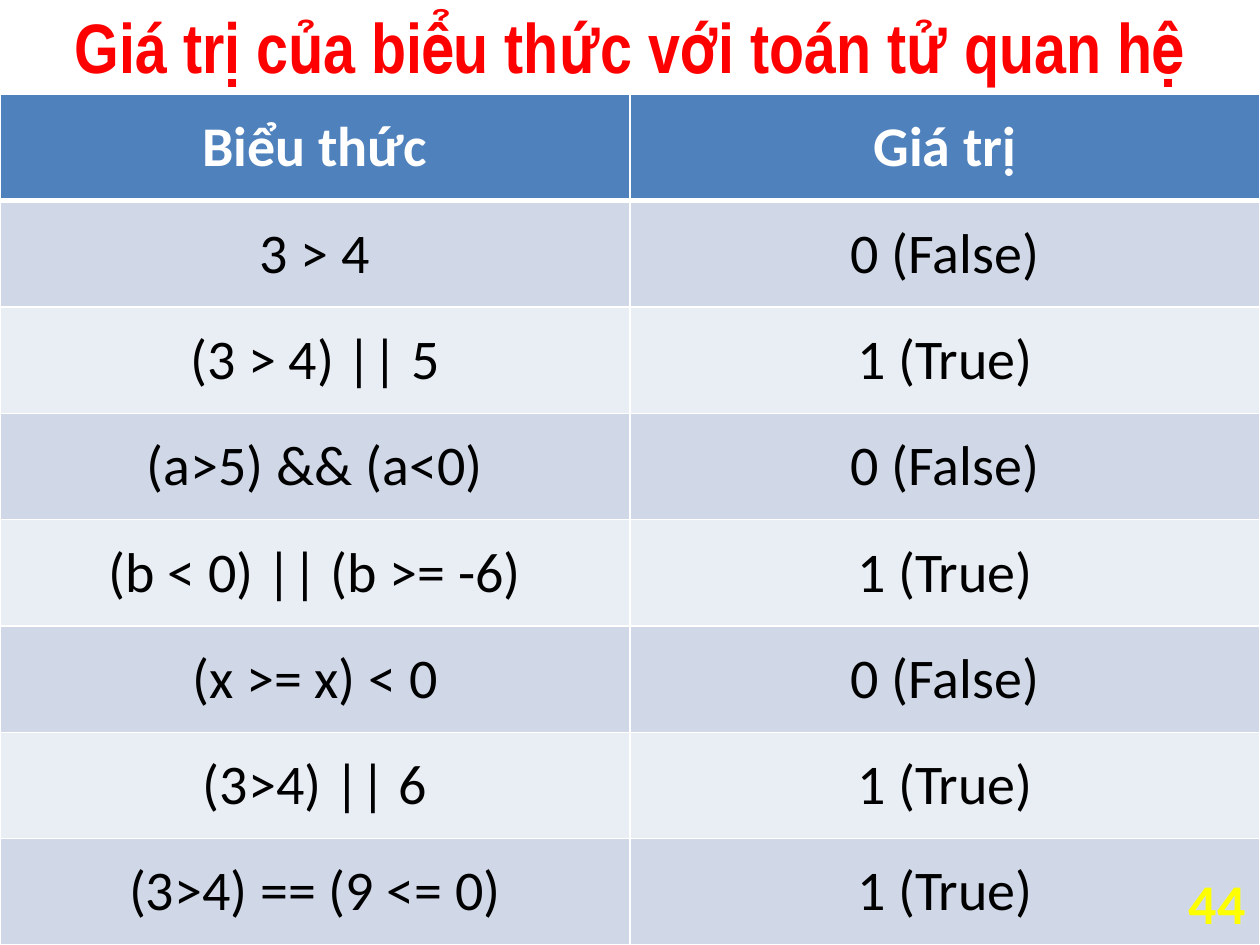
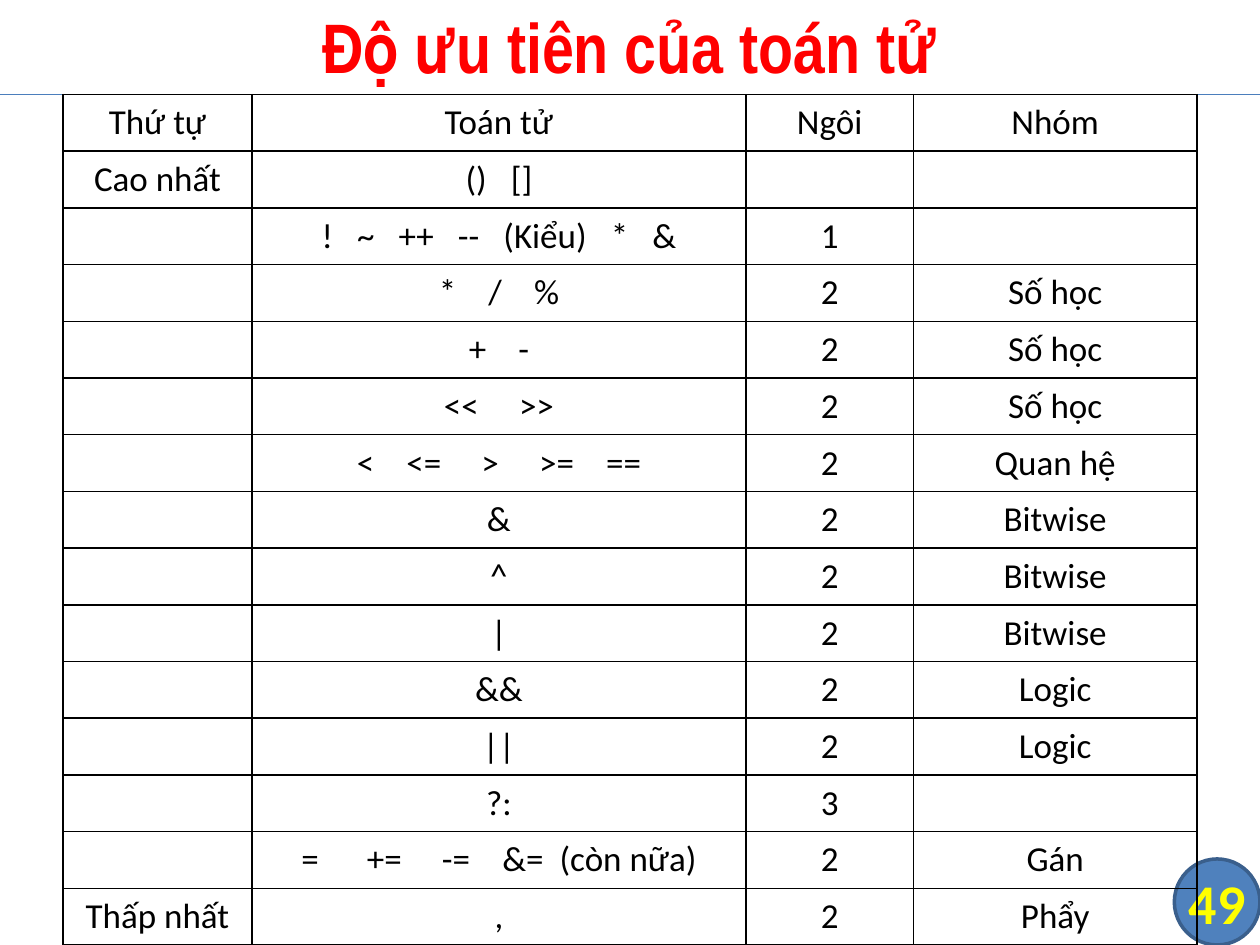
from dataclasses import dataclass

from lxml.etree import SubElement
from pptx import Presentation
from pptx.dml.color import RGBColor as RGB
from pptx.enum.shapes import MSO_CONNECTOR as CONN, MSO_SHAPE as SHAPE
from pptx.enum.text import MSO_ANCHOR as ANCHOR, PP_ALIGN as ALIGN
from pptx.oxml import parse_xml
from pptx.oxml.ns import nsdecls, qn
from pptx.util import Inches, Pt


@dataclass(frozen=True)
class Theme:
    # colours
    white: str = "FFFFFF"
    black: str = "000000"
    red: str = "FF0000"
    yellow: str = "FFFF00"
    blue: str = "4F81BD"
    badge_edge: str = "3A5F8C"
    rule: str = "4B7EBC"
    bands: tuple = ("D0D8E8", "E9EDF4")
    # type
    head_font: str = "Arial Narrow"
    body_font: str = "Calibri"
    title_size: int = 40
    large_size: int = 32
    small_size: int = 20
    space_width: float = 0.23  # width of a space in the body font, in ems


COLS, ROWS = 20, 10
NO_INSETS = dict.fromkeys(
    ("margin_left", "margin_top", "margin_right", "margin_bottom"), 0)
TIGHT_CELL = NO_INSETS | {"margin_left": Inches(0.07), "margin_right": Inches(0.07)}


def assign(target, values):
    for name, value in values.items():
        setattr(target, name, value)


class Deck:
    def __init__(self, prs, theme):
        self.prs, self.theme, self.s = prs, theme, None
        self.col_w = prs.slide_width / COLS
        self.row_h = prs.slide_height / ROWS

    def new_slide(self):
        self.s = self.prs.slides.add_slide(self.prs.slide_layouts[6])

    def box(self, col, row, cols, rows):
        return (round(col * self.col_w), round(row * self.row_h),
                round(cols * self.col_w), round(rows * self.row_h))

    def style(self, size, color, bold=False, font=None):
        return {"size": Pt(size), "bold": bold, "color": color,
                "name": font or self.theme.body_font}

    def fill_text(self, tf, text, style, para=None):
        """Text is a string, or words with the number of spaces between them."""
        p = tf.paragraphs[0]
        assign(p, {"alignment": ALIGN.CENTER} | (para or {}))
        for part in (text if isinstance(text, tuple) else (text,)):
            if part == "":
                continue
            r = p.add_run()
            assign(r.font, {k: v for k, v in style.items() if k != "color"})
            r.font.color.rgb = RGB.from_string(style["color"])
            if isinstance(part, int):
                r.text = " "
                extra = (part - 1) * self.theme.space_width * style["size"].pt
                r._r.get_or_add_rPr().set("spc", str(round(extra * 100)))
            else:
                r.text = part

    def text(self, box, text, style, **frame):
        tf = self.s.shapes.add_textbox(*self.box(*box)).text_frame
        assign(tf, {"word_wrap": True, "vertical_anchor": ANCHOR.MIDDLE} | frame)
        self.fill_text(tf, text, style)

    def title(self, text):
        t = self.theme
        self.text((0, -0.04, COLS, 1.04), text,
                  self.style(t.title_size, t.red, True, t.head_font))

    def badge(self, box):
        sp = self.s.shapes.add_shape(SHAPE.FLOWCHART_CONNECTOR, *self.box(*box))
        sp.shadow.inherit = False
        sp.fill.solid()
        sp.fill.fore_color.rgb = RGB.from_string(self.theme.blue)
        sp.line.color.rgb = RGB.from_string(self.theme.badge_edge)
        sp.line.width = Pt(2)

    def rule(self, row):
        x, y, w, _ = self.box(0, row, COLS, 0)
        ln = self.s.shapes.add_connector(CONN.STRAIGHT, x, y, x + w, y)
        ln.line.color.rgb = RGB.from_string(self.theme.rule)
        ln.line.width = Pt(0.75)
        SubElement(ln._element.spPr, qn("a:effectLst"))

    def page_number(self, number):
        t = self.theme
        self.text(BADGE, str(number), self.style(t.large_size, t.yellow, True),
                  **NO_INSETS)

    def borders(self, cell, color, **widths):
        tc_pr = cell._tc.get_or_add_tcPr()
        for i, side in enumerate("LRTB"):
            width = Pt(widths.get(side, 1))
            tc_pr.insert(i, parse_xml(
                f'<a:ln{side} {nsdecls("a")} w="{width}"><a:solidFill>'
                f'<a:srgbClr val="{color}"/></a:solidFill></a:ln{side}>'))

    def table(self, box, rows, widths, look):
        """look(row) gives the text style, fill, border colour and widths."""
        tbl = self.s.shapes.add_table(len(rows), len(widths), *self.box(*box)).table
        assign(tbl, {"first_row": False, "horz_banding": False})
        for column, width in zip(tbl.columns, widths):
            column.width = round(width * self.col_w)
        for i, row in enumerate(rows):
            fmt = look(i)
            for j, value in enumerate(row):
                cell = tbl.cell(i, j)
                assign(cell, {"vertical_anchor": ANCHOR.MIDDLE} | fmt.get("cell", {}))
                self.fill_text(cell.text_frame, value, fmt["style"], fmt.get("para"))
                if fmt.get("fill"):
                    cell.fill.solid()
                    cell.fill.fore_color.rgb = RGB.from_string(fmt["fill"])
                else:
                    cell.fill.background()
                self.borders(cell, fmt["border"], **fmt.get("widths", {}))


# Shared layout, in grid columns and rows
BADGE = (18.64, 9.09, 1.36, 0.91)
TITLE_ROWS = 1
BODY_ROWS = ROWS - TITLE_ROWS

FALSE, TRUE = "0 (False)", "1 (True)"
EXPRESSIONS = [
    ("Biểu thức", "Giá trị"),
    ("3 > 4", FALSE),
    ("(3 > 4) || 5", TRUE),
    ("(a>5) && (a<0)", FALSE),
    ("(b < 0) || (b >= -6)", TRUE),
    ("(x >= x) < 0", FALSE),
    ("(3>4) || 6", TRUE),
    ("(3>4) == (9 <= 0)", TRUE),
]

PRECEDENCE = [
    ("Thứ tự", "Toán tử", "Ngôi", "Nhóm"),
    ("Cao nhất", ("()", 3, "[]"), "", ""),
    ("", ("!", 3, "~", 3, "++", 3, "--", 3, "(Kiểu)", 3, "*", 3, "&"), "1", ""),
    ("", ("*", 4, "/", 4, "%"), "2", "Số học"),
    ("", ("+", 4, "-"), "2", "Số học"),
    ("", ("<<", 5, ">>"), "2", "Số học"),
    ("", ("<", 4, "<=", 5, ">", 5, ">=", 4, "=="), "2", "Quan hệ"),
    ("", "&", "2", "Bitwise"),
    ("", "^", "2", "Bitwise"),
    ("", "|", "2", "Bitwise"),
    ("", "&&", "2", "Logic"),
    ("", "||", "2", "Logic"),
    ("", "?:", "3", ""),
    ("", ("=", 6, "+=", 5, "-=", 4, "&=", 2, "(còn nữa)"), "2", "Gán"),
    ("Thấp nhất", ",", "2", "Phẩy"),
]


def start_slide(deck):
    deck.new_slide()
    deck.badge(BADGE)
    deck.rule(TITLE_ROWS)


def expression_slide(deck):
    t = deck.theme

    def banded(row):
        if row == 0:
            return {"style": deck.style(t.large_size, t.white, True),
                    "fill": t.blue, "border": t.white, "widths": {"B": 3}}
        return {"style": deck.style(t.large_size, t.black),
                "fill": t.bands[(row - 1) % 2], "border": t.white,
                "widths": {"T": 3} if row == 1 else {}}

    start_slide(deck)
    deck.table((0, TITLE_ROWS, COLS, BODY_ROWS), EXPRESSIONS, (10, 10), banded)
    deck.title("Giá trị của biểu thức với toán tử quan hệ")
    deck.page_number(44)


def precedence_slide(deck):
    t = deck.theme
    plain = {"style": deck.style(t.small_size, t.black), "border": t.black,
             "cell": TIGHT_CELL,
             "para": {"space_before": Pt(3), "space_after": Pt(3)}}

    start_slide(deck)
    deck.title("Độ ưu tiên của toán tử")
    deck.page_number(49)
    deck.table((1, TITLE_ROWS, COLS - 2, BODY_ROWS), PRECEDENCE,
               (3, 7.84, 2.66, 4.5), lambda row: plain)


def main():
    prs = Presentation()
    prs.slide_width, prs.slide_height = Inches(10), Inches(7.5)
    deck = Deck(prs, Theme())
    expression_slide(deck)
    precedence_slide(deck)
    prs.save("out.pptx")


if __name__ == "__main__":
    main()
